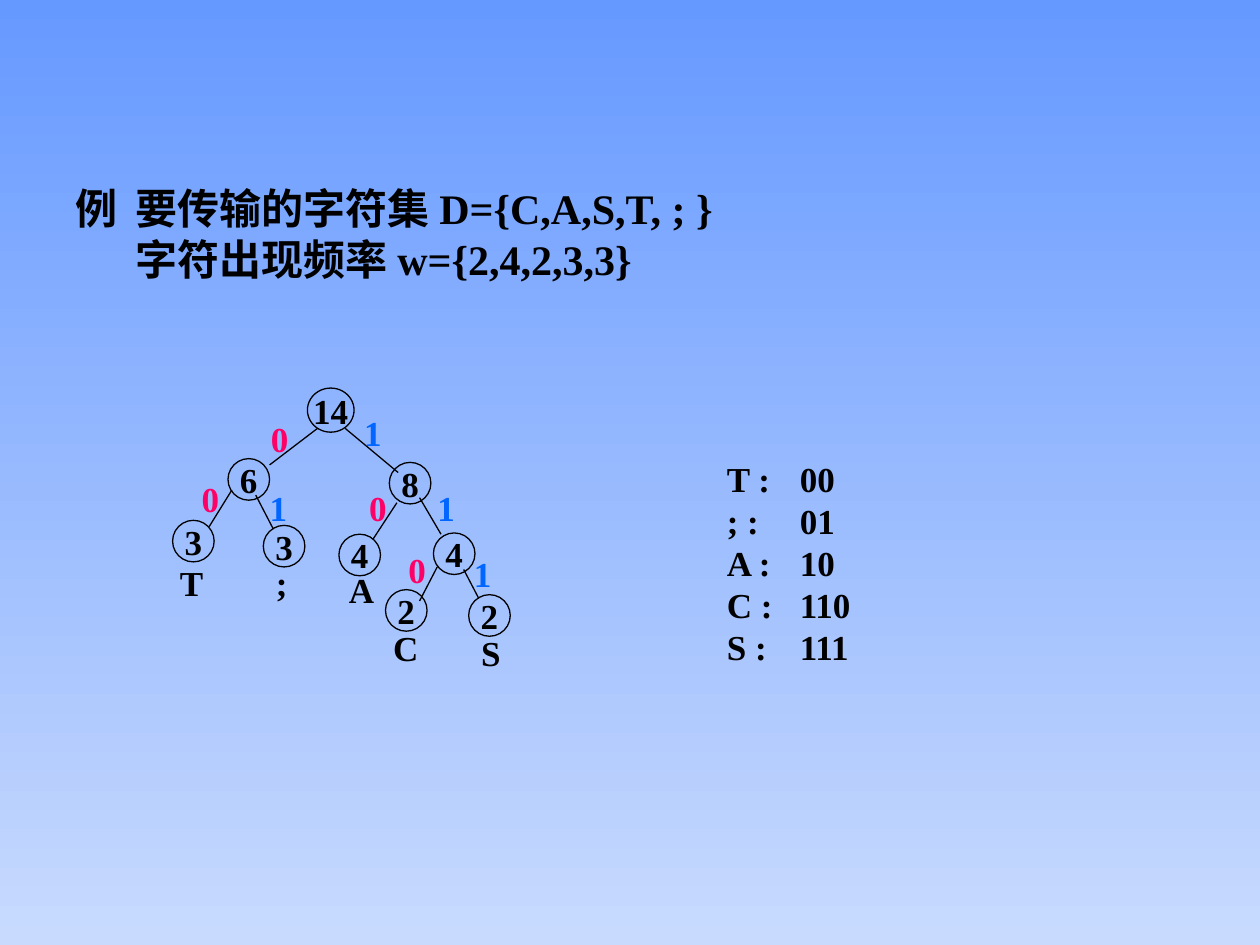
from lxml import etree
from pptx import Presentation
from pptx.dml.color import RGBColor
from pptx.enum.shapes import MSO_CONNECTOR, MSO_SHAPE
from pptx.enum.text import MSO_ANCHOR, MSO_AUTO_SIZE, PP_ALIGN
from pptx.oxml.ns import qn
from pptx.util import Inches, Pt

OVAL = MSO_SHAPE.OVAL
STRAIGHT = MSO_CONNECTOR.STRAIGHT
MIDDLE = MSO_ANCHOR.MIDDLE
GROW = MSO_AUTO_SIZE.SHAPE_TO_FIT_TEXT
LEFT, CENTER = PP_ALIGN.LEFT, PP_ALIGN.CENTER

BLACK = "000000"
BIT_COLORS = {"0": "FF0066", "1": "0066FF"}
NODE_SIZE = (0.33, 0.33)
ROOT_SIZE = (0.37, 0.35)
BIT_SIZE = (0.34, 0.44)
LETTER_HEIGHT = 0.44

# weight, position, size
NODES = [
    ("14", (2.44, 3.08), ROOT_SIZE),
    ("6", (1.81, 3.64), NODE_SIZE),
    ("8", (3.09, 3.67), NODE_SIZE),
    ("3", (1.37, 4.13), NODE_SIZE),
    ("3", (2.09, 4.17), NODE_SIZE),
    ("4", (2.69, 4.24), NODE_SIZE),
    ("4", (3.44, 4.23), NODE_SIZE),
    ("2", (3.06, 4.68), NODE_SIZE),
    ("2", (3.72, 4.72), NODE_SIZE),
]
# bit, bit position, line start, line end
BRANCHES = [
    ("0", (2.05, 3.26), (2.52, 3.40), (2.14, 3.69)),
    ("1", (2.79, 3.21), (2.74, 3.40), (3.16, 3.75)),
    ("0", (1.50, 3.74), (1.84, 3.89), (1.66, 4.18)),
    ("1", (2.04, 3.81), (2.03, 3.93), (2.17, 4.20)),
    ("0", (2.83, 3.81), (3.15, 3.99), (2.96, 4.28)),
    ("1", (3.37, 3.81), (3.33, 3.95), (3.50, 4.24)),
    ("0", (3.14, 4.30), (3.47, 4.50), (3.33, 4.77)),
    ("1", (3.66, 4.33), (3.68, 4.52), (3.80, 4.75)),
]
# letter, position, width
LETTERS = [
    ("T", (1.33, 4.40), 0.38),
    (";", (2.09, 4.40), 0.29),
    ("A", (2.67, 4.46), 0.40),
    ("C", (3.02, 4.92), 0.40),
    ("S", (3.72, 4.96), 0.35),
]
CODES = {"T": "00", ";": "01", "A": "10", "C": "110", "S": "111"}


def rgb(value):
    return RGBColor.from_string(value)


def set_all(target, values):
    for name, value in values.items():
        setattr(target, name, value)


class TreeSlide:
    """Holds the font style and the slide being filled."""

    def __init__(self, presentation):
        self.slide = presentation.slides.add_slide(presentation.slide_layouts[6])
        self.font = {"name": "Times New Roman", "bold": True}

    def background(self, top, bottom):
        fill = self.slide.background.fill
        fill.gradient()
        fill.gradient_angle = 270
        for stop, color in zip(fill.gradient_stops, (top, bottom)):
            stop.color.rgb = rgb(color)

    def add_lines(self, shape, lines, size=20, color=BLACK, align=CENTER, tab=None):
        frame = shape.text_frame
        set_all(frame, {"vertical_anchor": MIDDLE, "word_wrap": align == LEFT})
        for index, line in enumerate(lines):
            paragraph = frame.add_paragraph() if index else frame.paragraphs[0]
            paragraph.alignment = align
            if tab:
                self.tab_stop(paragraph, tab)
            run = paragraph.add_run()
            run.text = line
            set_all(run.font, {**self.font, "size": Pt(size)})
            run.font.color.rgb = rgb(color)

    def tab_stop(self, paragraph, position):
        properties = paragraph._p.get_or_add_pPr()
        stops = etree.SubElement(properties, qn("a:tabLst"))
        etree.SubElement(stops, qn("a:tab"), pos=str(Inches(position)), algn="l")

    def text(self, lines, position, size, font_size=20, **style):
        shape = self.slide.shapes.add_textbox(*map(Inches, position + size))
        self.add_lines(shape, lines, font_size, **style)
        shape.text_frame.auto_size = GROW

    def node(self, weight, position, size):
        shape = self.slide.shapes.add_shape(OVAL, *map(Inches, position + size))
        shape.shadow.inherit = False
        shape.fill.background()
        self.outline(shape.line)
        self.add_lines(shape, [weight])

    def branch(self, start, end):
        connector = self.slide.shapes.add_connector(STRAIGHT, *map(Inches, start + end))
        self.outline(connector.line)
        etree.SubElement(connector._element.spPr, qn("a:effectLst"))

    def outline(self, line):
        line.width = Pt(0.75)
        line.color.rgb = rgb(BLACK)


def main():
    presentation = Presentation()
    set_all(presentation, {"slide_width": Inches(10), "slide_height": Inches(7.5)})
    page = TreeSlide(presentation)
    page.background("6699FF", "C8DAFE")
    page.text(
        ["例\t要传输的字符集 D={C,A,S,T, ; }", "\t字符出现频率 w={2,4,2,3,3}"],
        (0.5, 1.4), (7.5, 0.9), font_size=24, align=LEFT, tab=0.48,
    )
    for weight, position, size in NODES:
        page.node(weight, position, size)
    for bit, position, start, end in BRANCHES:
        page.branch(start, end)
        page.text([bit], position, BIT_SIZE, color=BIT_COLORS[bit])
    for letter, position, width in LETTERS:
        page.text([letter], position, (width, LETTER_HEIGHT))
    page.text(
        [f"{letter} :\t{code}" for letter, code in CODES.items()],
        (5.67, 3.58), (1.99, 1.77), align=LEFT, tab=0.58,
    )
    presentation.save("out.pptx")


if __name__ == "__main__":
    main()
